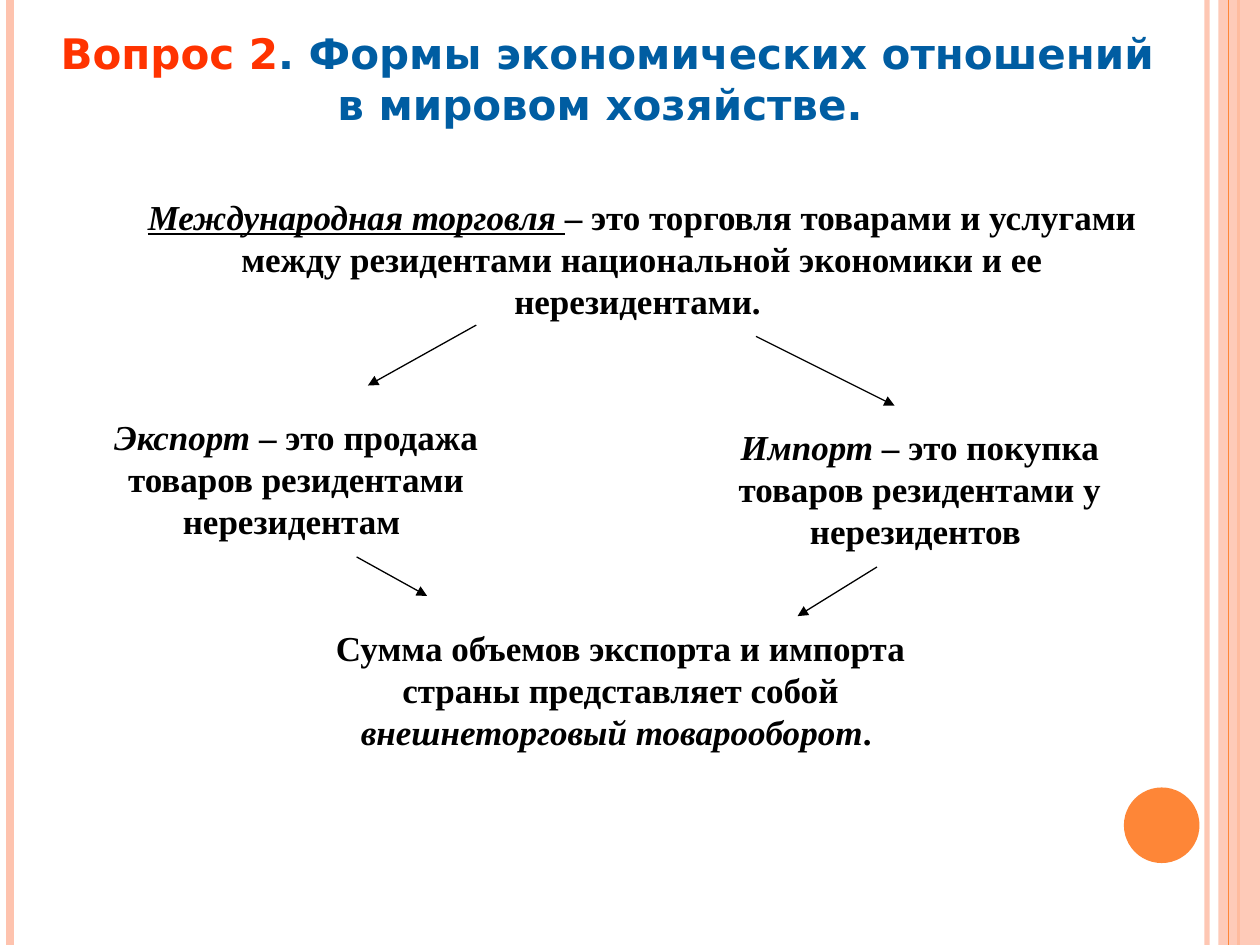
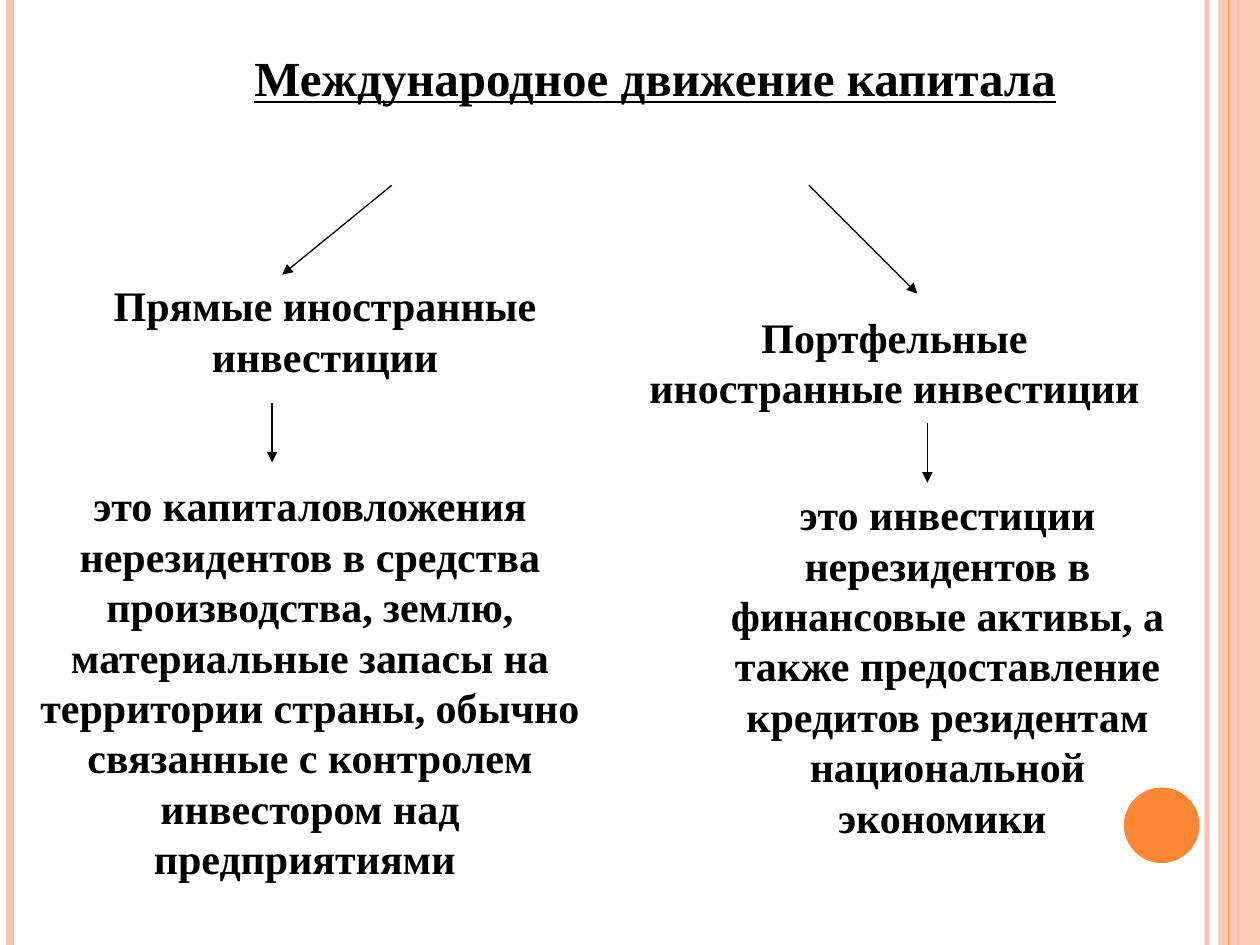
from dataclasses import dataclass
from typing import NamedTuple

from lxml.etree import SubElement
from pptx import Presentation
from pptx.dml.color import RGBColor
from pptx.enum.shapes import MSO_CONNECTOR, MSO_SHAPE
from pptx.enum.text import MSO_AUTO_SIZE, PP_ALIGN
from pptx.oxml.ns import qn
from pptx.util import Inches, Pt

PEACH = RGBColor(0xFE, 0xC3, 0xAE)
ORANGE = RGBColor(0xFE, 0x86, 0x37)
RED = RGBColor(0xFF, 0x33, 0x00)
BLUE = RGBColor(0x00, 0x5D, 0xA2)
BLACK = RGBColor(0, 0, 0)
SANS = "DejaVu Sans"
SERIF = "Times New Roman"
WIDTH, HEIGHT = 10, 7.5


class Span(NamedTuple):
    """A stretch of text in one style."""
    text: str
    color: RGBColor = BLACK
    italic: bool = False
    under: bool = False


@dataclass
class Block:
    """A centred, bold text box."""
    left: float
    top: float
    width: float
    height: float
    size: int
    spans: list[Span]
    font: str = SERIF


class Line(NamedTuple):
    """A straight line; an arrow when tipped."""
    x1: float
    y1: float
    x2: float
    y2: float
    color: RGBColor = BLACK
    weight: float = 0.75
    alpha: int = 100
    tipped: bool = True


def rule(x: float, color: RGBColor, weight: float, alpha: int = 100) -> Line:
    return Line(x, 0, x, HEIGHT, color, weight, alpha, False)


# Side rules below and above the right-hand band
LOW_RULES = [rule(9.58, PEACH, 3, 93), rule(0.08, PEACH, 4.5), rule(9.83, ORANGE, 1.5)]
TOP_RULE = rule(9.75, ORANGE, 0.75)


def fade(props, alpha: int) -> None:
    """Make the solid colour inside props partly transparent."""
    tone = next(props.iter(qn("a:srgbClr")))
    SubElement(tone, qn("a:alpha"), val=str(alpha * 1000))


def draw_line(slide, line: Line) -> None:
    ends = [Inches(v) for v in line[:4]]
    link = slide.shapes.add_connector(MSO_CONNECTOR.STRAIGHT, *ends)
    link.line.color.rgb = line.color
    link.line.width = Pt(line.weight)
    props = link._element.spPr
    stroke = props.find(qn("a:ln"))
    if line.alpha < 100:
        fade(stroke, line.alpha)
    if line.tipped:
        SubElement(stroke, qn("a:tailEnd"), type="triangle")
    SubElement(props, qn("a:effectLst"))


def draw_shape(slide, kind: MSO_SHAPE, box: tuple, color: RGBColor, alpha: int = 100) -> None:
    shape = slide.shapes.add_shape(kind, *[Inches(v) for v in box])
    shape.shadow.inherit = False
    shape.fill.solid()
    shape.fill.fore_color.rgb = color
    shape.line.fill.background()
    if alpha < 100:
        fade(shape._element.spPr, alpha)


def draw_block(slide, block: Block) -> None:
    box = (block.left, block.top, block.width, block.height)
    frame = slide.shapes.add_textbox(*[Inches(v) for v in box]).text_frame
    frame.word_wrap = True
    frame.auto_size = MSO_AUTO_SIZE.SHAPE_TO_FIT_TEXT
    para = frame.paragraphs[0]
    para.alignment = PP_ALIGN.CENTER
    for span in block.spans:
        run = para.add_run()
        run.text = span.text
        font = run.font
        font.name, font.size, font.bold = block.font, Pt(block.size), True
        font.color.rgb = span.color
        font.italic, font.underline = span.italic, span.under


def add_page(deck, blocks: list[Block], arrows: list[Line]) -> None:
    slide = deck.slides.add_slide(deck.slide_layouts[6])
    # Shared frame
    for line in LOW_RULES:
        draw_line(slide, line)
    draw_shape(slide, MSO_SHAPE.RECTANGLE, (9.67, 0, 0.33, HEIGHT), PEACH, 87)
    draw_line(slide, TOP_RULE)
    draw_shape(slide, MSO_SHAPE.OVAL, (8.92, 6.25, 0.6, 0.6), ORANGE)
    # Content
    for block in blocks:
        draw_block(slide, block)
    for arrow in arrows:
        draw_line(slide, arrow)


# Slide 1: international trade
TRADE = [
    Block(0.33, 0.17, 8.98, 0.91, 24, [
        Span("Вопрос 2", RED),
        Span(". Формы экономических отношений в мировом хозяйстве. ", BLUE),
    ], SANS),
    Block(0.92, 1.5, 8.35, 1.1, 20, [
        Span("Международная торговля", italic=True, under=True),
        Span(" ", under=True),
        Span("– это торговля товарами и услугами между резидентами "
             "национальной экономики и ее нерезидентами. "),
    ]),
    Block(0.58, 3.25, 3.54, 1.1, 20, [
        Span("Экспорт", italic=True),
        Span(" – это продажа товаров резидентами нерезидентам "),
    ]),
    Block(5.33, 3.33, 3.94, 1.1, 20, [
        Span("Импорт", italic=True),
        Span(" – это покупка товаров резидентами у нерезидентов "),
    ]),
    Block(2.17, 4.92, 5.51, 1.1, 20, [
        Span("Сумма объемов экспорта и импорта страны представляет собой "),
        Span("внешнеторговый товарооборот", italic=True),
        Span(". "),
    ]),
]
TRADE_ARROWS = [
    Line(3.78, 2.58, 2.92, 3.06),
    Line(6, 2.67, 7.1, 3.22),
    Line(2.83, 4.42, 3.39, 4.73),
    Line(6.96, 4.5, 6.33, 4.89),
]

# Slide 2: movement of capital
FUNDS = [
    Block(1.42, 0.33, 7.56, 0.57, 28, [Span("Международное движение капитала", under=True)]),
    Block(0.58, 2.17, 4, 0.91, 24, [Span("Прямые иностранные инвестиции")]),
    Block(5, 2.42, 4.2, 0.91, 24, [Span("Портфельные иностранные инвестиции")]),
    Block(0.17, 3.76, 4.58, 3.33, 24, [
        Span("это капиталовложения нерезидентов в средства производства, землю, "
             "материальные запасы на территории страны, обычно связанные "
             "с контролем инвестором над предприятиями "),
    ]),
    Block(5.55, 3.83, 3.94, 2.93, 24, [
        Span("это инвестиции нерезидентов в финансовые активы, а также "
             "предоставление кредитов резидентам национальной экономики "),
    ]),
]
FUNDS_ARROWS = [
    Line(3.11, 1.47, 2.24, 2.18),
    Line(6.42, 1.47, 7.28, 2.33),
    Line(2.16, 3.2, 2.16, 3.67),
    Line(7.36, 3.36, 7.36, 3.83),
]


def main() -> None:
    deck = Presentation()
    deck.slide_width, deck.slide_height = Inches(WIDTH), Inches(HEIGHT)
    add_page(deck, TRADE, TRADE_ARROWS)
    add_page(deck, FUNDS, FUNDS_ARROWS)
    deck.save("out.pptx")


if __name__ == "__main__":
    main()
